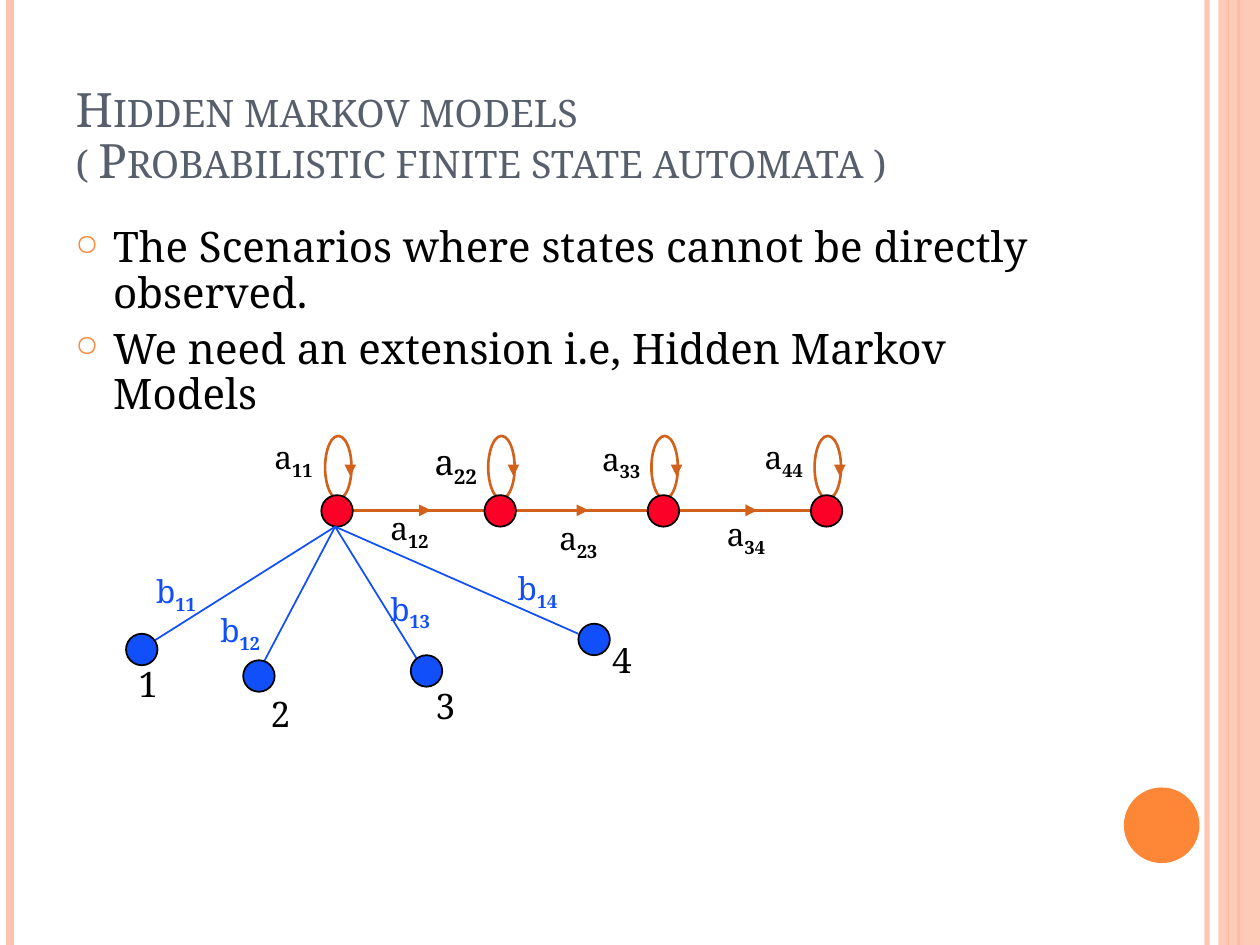
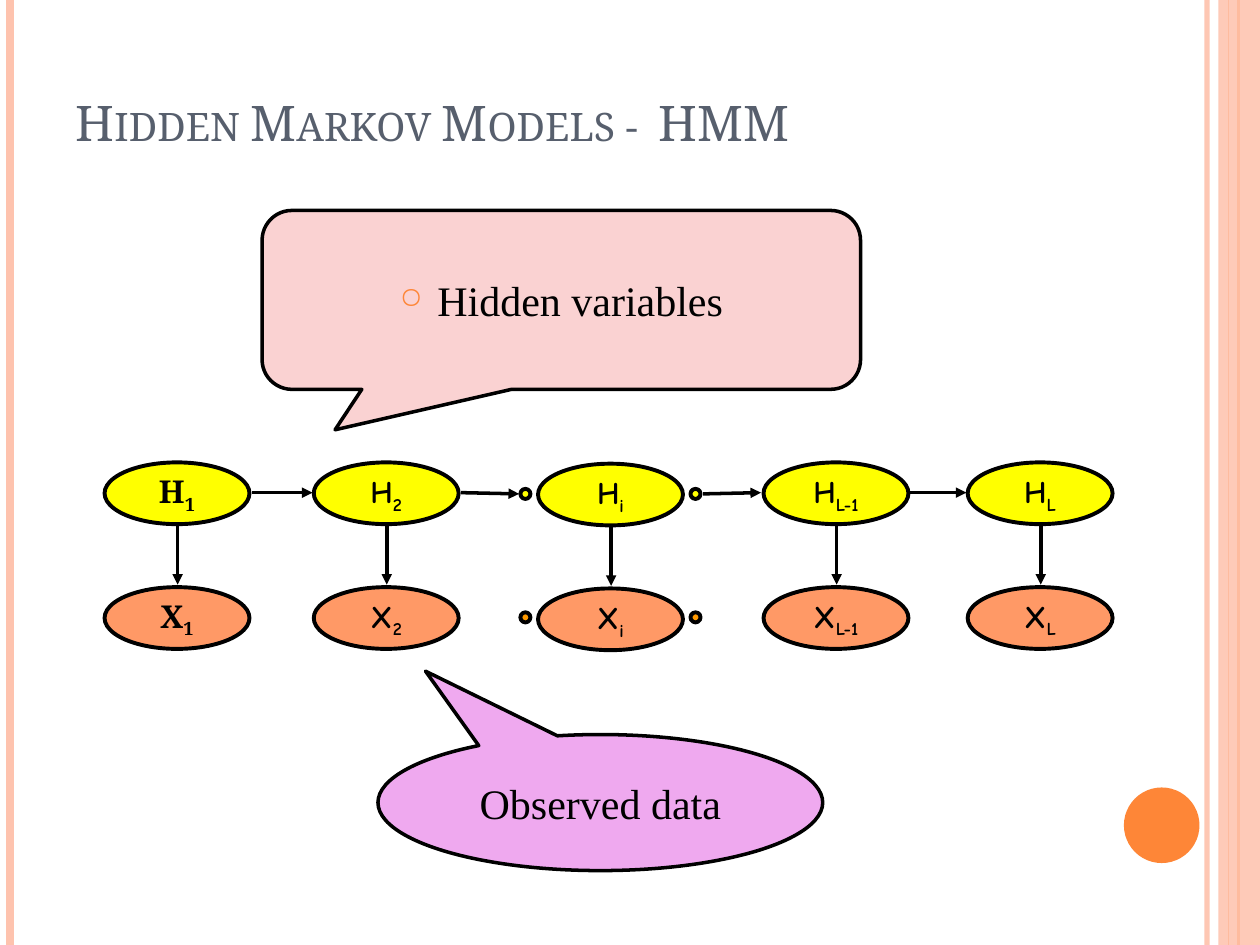
from dataclasses import dataclass
from typing import Optional

from lxml import etree
from pptx import Presentation
from pptx import util as u
from pptx.dml import color as dml
from pptx.enum import shapes, text
from pptx.oxml import ns

COLORS = {
    "title": "575F6D",
    "accent": "FE8637",
    "band": "FEC3AE",
    "black": "000000",
    "transition": "D2611C",
    "state": "FC0128",
    "emission": "114FFB",
    "hidden": "FFFF00",
    "observed": "FF9966",
    "observed_dot": "FF9900",
    "hidden_callout": "FAD2D2",
    "observed_callout": "EFA9EF",
}
SERIF, TIMES, COMIC = "Noto Serif", "Times New Roman", "Comic Neue"
OVAL = shapes.MSO_SHAPE.OVAL


@dataclass
class Rule:
    x: float
    color: str
    width: float
    alpha: Optional[int] = None


@dataclass
class Label:
    base: str
    sub: str
    x: float
    y: float
    size: float = 18
    color: str = "black"
    width: float = 0.58


@dataclass
class Emission:
    number: str
    x: float
    y: float
    end: tuple[float, float]
    number_at: tuple[float, float]
    label_at: tuple[float, float]


@dataclass
class ChainNode:
    sub: str
    x: float
    drop: float = 0
    font: str = COMIC


RULES = [
    Rule(9.58, "band", 3, 93),
    Rule(0.08, "band", 4.5),
    Rule(9.83, "accent", 1.5),
    Rule(9.75, "accent", 0.75),
]


def rgb(name: str) -> dml.RGBColor:
    return dml.RGBColor.from_string(COLORS[name])


def add_alpha(properties, percent: int) -> None:
    tag = next(properties.iter(ns.qn("a:srgbClr")))
    etree.SubElement(tag, ns.qn("a:alpha"), val=str(percent * 1000))


def add_line(slide, start, end, color: str, width: float, arrow: bool = False):
    connector = slide.shapes.add_connector(
        shapes.MSO_CONNECTOR.STRAIGHT, *(u.Inches(value) for value in (*start, *end))
    )
    connector.line.color.rgb = rgb(color)
    connector.line.width = u.Pt(width)
    if arrow:
        etree.SubElement(connector.line._get_or_add_ln(), ns.qn("a:tailEnd"), type="triangle")
    etree.SubElement(connector._element.spPr, ns.qn("a:effectLst"))
    return connector


def add_shape(slide, kind, box, fill: Optional[str] = None,
              line: Optional[str] = None, width: float = 1):
    shape = slide.shapes.add_shape(kind, *(u.Inches(value) for value in box))
    shape.shadow.inherit = False
    if fill:
        shape.fill.solid()
        shape.fill.fore_color.rgb = rgb(fill)
    else:
        shape.fill.background()
    if line:
        shape.line.color.rgb = rgb(line)
        shape.line.width = u.Pt(width)
    else:
        shape.line.fill.background()
    return shape


def add_textbox(slide, box):
    shape = slide.shapes.add_textbox(*(u.Inches(value) for value in box))
    shape.text_frame.word_wrap = True
    return shape


def format_run(run, size: float, font: str = SERIF, color: str = "black", bold: bool = False) -> None:
    run.font.size = u.Pt(size)
    run.font.name = font
    run.font.bold = bold
    run.font.color.rgb = rgb(color)


def write_subscripted(paragraph, base: str, sub: str, size: float, font: str = SERIF,
                      color: str = "black", bold_base: bool = False) -> None:
    run = paragraph.add_run()
    run.text = base
    format_run(run, size, font, color, bold_base)
    if sub:
        run = paragraph.add_run()
        run.text = sub
        format_run(run, size, font, color, True)
        run._r.get_or_add_rPr().set("baseline", "-25000")


def add_bullet(paragraph) -> None:
    paragraph.space_before = u.Pt(6)
    properties = paragraph._p.get_or_add_pPr()
    properties.set("marL", str(u.Inches(0.3)))
    properties.set("indent", str(u.Inches(-0.3)))
    bullet_color = etree.SubElement(properties, ns.qn("a:buClr"))
    etree.SubElement(bullet_color, ns.qn("a:srgbClr"), val=COLORS["accent"])
    etree.SubElement(properties, ns.qn("a:buSzPct"), val="70000")
    etree.SubElement(properties, ns.qn("a:buChar"), char="○")


def add_label(slide, label: Label) -> None:
    height = 0.4 if label.size == 18 else 0.43
    shape = add_textbox(slide, (label.x, label.y, label.width, height))
    shape.text_frame.auto_size = text.MSO_AUTO_SIZE.SHAPE_TO_FIT_TEXT
    write_subscripted(shape.text_frame.paragraphs[0], label.base, label.sub,
                      label.size, color=label.color)


def add_slide(presentation, title: str, top: float, size: float, spacing: float):
    slide = presentation.slides.add_slide(presentation.slide_layouts[5])
    for rule in RULES:
        line = add_line(slide, (rule.x, 0), (rule.x, 7.5), rule.color, rule.width)
        if rule.alpha:
            add_alpha(line._element.spPr, rule.alpha)
    band = add_shape(slide, shapes.MSO_SHAPE.RECTANGLE, (9.67, 0, 0.33, 7.5), "band")
    add_alpha(band._element.spPr, 87)
    add_shape(slide, OVAL, (8.92, 6.25, 0.6, 0.6), "accent")

    shape = slide.shapes.title
    shape.left, shape.top, shape.width, shape.height = (
        u.Inches(value) for value in (0.5, top, 8.17, 1.25)
    )
    frame = shape.text_frame
    frame.text = title
    frame.word_wrap = True
    frame.auto_size = text.MSO_AUTO_SIZE.NONE
    frame.vertical_anchor = text.MSO_ANCHOR.BOTTOM
    paragraph = frame.paragraphs[0]
    paragraph.alignment = text.PP_ALIGN.LEFT
    paragraph.line_spacing = spacing
    for run in paragraph.runs:
        format_run(run, size, color="title")
        run._r.get_or_add_rPr().set("cap", "small")
    return slide


def add_automaton_slide(presentation) -> None:
    slide = add_slide(
        presentation, "Hidden markov models\v( Probabilistic finite state automata )", 0.3, 27, 0.9
    )
    body = add_textbox(slide, (0.5, 1.75, 8.17, 5.33))
    body.text_frame.text = (
        "The Scenarios where states cannot be directly observed.\n"
        "We need an extension i.e, Hidden Markov Models"
    )
    for paragraph in body.text_frame.paragraphs:
        paragraph.line_spacing = 0.9
        add_bullet(paragraph)
        format_run(paragraph.runs[0], 24)

    diameter, state_y, link_y = 0.25, 3.93, 4.05
    states = [2.55 + 1.295 * index for index in range(4)]
    for x in states:
        add_shape(slide, OVAL, (x + 0.03, 3.46, 0.21, 0.5), line="transition", width=1.5)
        add_line(slide, (x + 0.23, 3.7), (x + 0.23, 3.78), "transition", 2.25, True)
    for x, arrow_x in zip(states, (3.34, 4.59, 5.93)):
        add_line(slide, (x + diameter, link_y), (x + 1.3, link_y), "transition", 1.5)
        add_line(slide, (arrow_x, link_y), (arrow_x + 0.08, link_y), "transition", 2.25, True)
    for x in states:
        add_shape(slide, OVAL, (x, state_y, diameter, diameter), "state", "black")

    for label in (
        Label("a", "11", 2.08, 3.43),
        Label("a", "22", 3.35, 3.45, 20),
        Label("a", "33", 4.68, 3.44),
        Label("a", "44", 5.97, 3.43),
        Label("a", "12", 3, 3.99),
        Label("a", "23", 4.34, 4.07),
        Label("a", "34", 5.67, 4.04),
    ):
        add_label(slide, label)

    emissions = [
        Emission("1", 1, 5.03, (1.2, 5.1), (1, 5.21), (1.14, 4.49)),
        Emission("2", 1.93, 5.24, (2.08, 5.28), (2.05, 5.45), (1.65, 4.8)),
        Emission("3", 3.26, 5.2, (3.34, 5.28), (3.36, 5.38), (3, 4.63)),
        Emission("4", 4.59, 4.95, (4.59, 5.03), (4.76, 5.02), (4.01, 4.47)),
    ]
    for emission in emissions:
        add_line(slide, (2.66, 4.18), emission.end, "emission", 1)
    for emission in emissions:
        add_shape(slide, OVAL, (emission.x, emission.y, diameter, diameter), "emission", "black")
        add_label(slide, Label("b", "1" + emission.number, *emission.label_at,
                               color="emission", width=0.57))
        add_label(slide, Label(emission.number, "", *emission.number_at, size=20, width=0.5))


def add_callout(slide, kind, box, adjustments, fill: str, words: str):
    shape = add_shape(slide, kind, box, fill, "black", 2)
    for index, value in enumerate(adjustments):
        shape.adjustments[index] = value
    frame = shape.text_frame
    frame.text = words
    frame.word_wrap = True
    frame.vertical_anchor = text.MSO_ANCHOR.MIDDLE
    paragraph = frame.paragraphs[0]
    paragraph.alignment = text.PP_ALIGN.CENTER
    format_run(paragraph.runs[0], 24, TIMES)
    return paragraph


def add_node(slide, letter: str, node: ChainNode, y: float, fill: str) -> None:
    shape = add_shape(slide, OVAL, (node.x, y + node.drop, 1.15, 0.49), fill, "black", 2.25)
    frame = shape.text_frame
    frame.word_wrap = False
    frame.vertical_anchor = text.MSO_ANCHOR.MIDDLE
    paragraph = frame.paragraphs[0]
    paragraph.alignment = text.PP_ALIGN.CENTER
    write_subscripted(paragraph, letter, node.sub, 18, node.font, bold_base=True)


def add_chain_slide(presentation) -> None:
    slide = add_slide(presentation, "Hidden Markov Models -  HMM", 0, 28, 1)
    paragraph = add_callout(
        slide, shapes.MSO_SHAPE.ROUNDED_RECTANGULAR_CALLOUT, (2.08, 1.67, 4.75, 1.42),
        (-0.378, 0.726, 0.167), "hidden_callout", "Hidden variables",
    )
    add_bullet(paragraph)

    nodes = [
        ChainNode("1", 0.83, font=SERIF),
        ChainNode("2", 2.49),
        ChainNode("i", 4.27, 0.01),
        ChainNode("L-1", 6.06),
        ChainNode("L", 7.68),
    ]
    for node in nodes:
        add_node(slide, "H", node, 3.67, "hidden")
        add_node(slide, "X", node, 4.66, "observed")
        center = node.x + 0.58
        add_line(slide, (center, 4.17 + node.drop), (center, 4.64 + node.drop), "black", 2, True)
    for y, fill in ((3.88, "hidden"), (4.86, "observed_dot")):
        for x in (4.13, 5.48):
            add_shape(slide, OVAL, (x, y, 0.08, 0.08), fill, "black", 2.25)
    for start, end in (
        ((2, 3.91), (2.48, 3.91)),
        ((3.66, 3.91), (4.12, 3.92)),
        ((5.58, 3.92), (6.04, 3.91)),
        ((7.22, 3.91), (7.67, 3.91)),
    ):
        add_line(slide, start, end, "black", 2, True)

    add_callout(
        slide, shapes.MSO_SHAPE.OVAL_CALLOUT, (3, 5.83, 3.53, 1.08),
        (-0.393, -0.966), "observed_callout", "Observed data",
    )


presentation = Presentation()
presentation.slide_width, presentation.slide_height = u.Inches(10), u.Inches(7.5)
add_automaton_slide(presentation)
add_chain_slide(presentation)
presentation.save("out.pptx")
